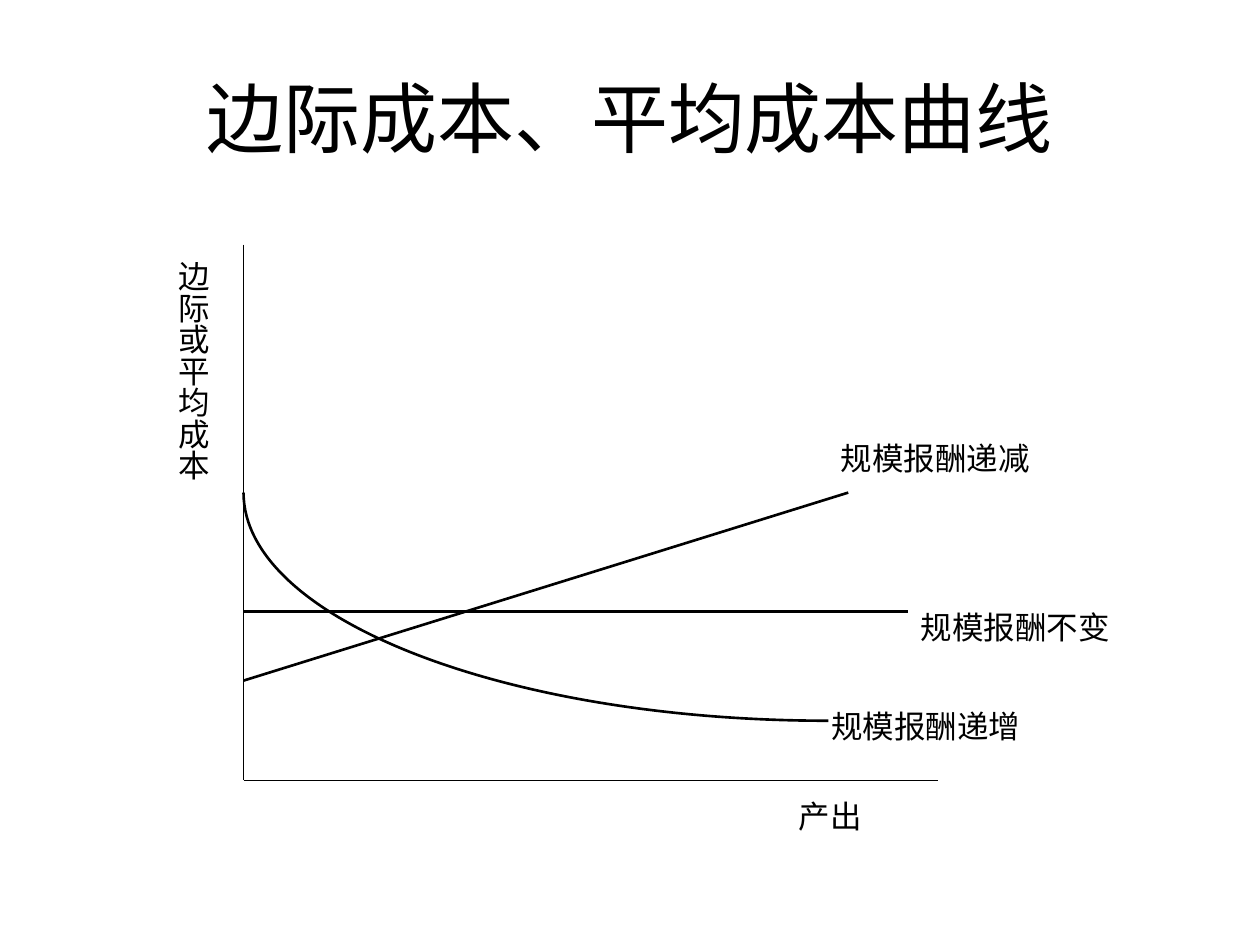
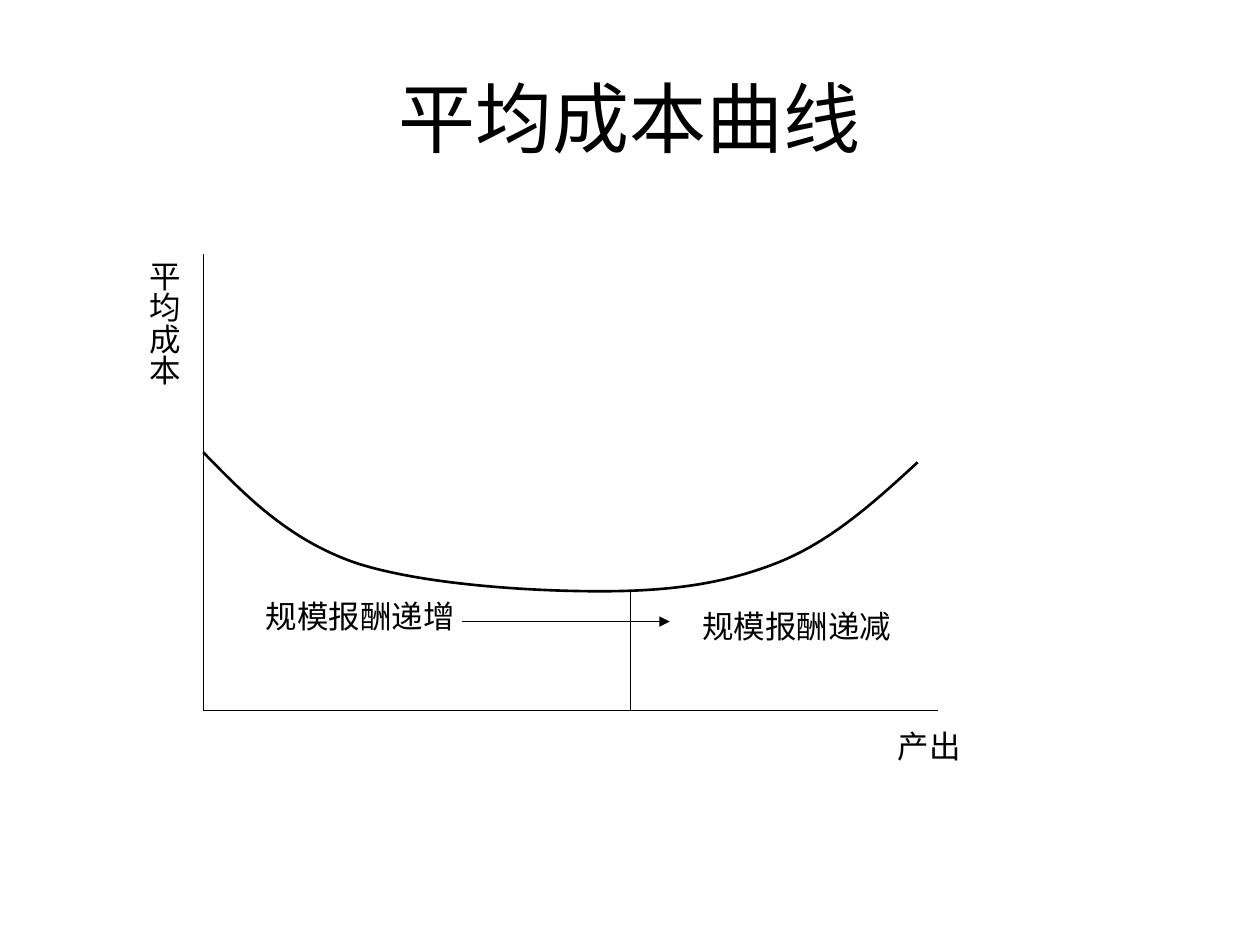
from collections import namedtuple

from lxml.etree import SubElement
from pptx import Presentation
from pptx.dml.color import RGBColor
from pptx.enum.shapes import MSO_CONNECTOR as Connector
from pptx.enum.text import MSO_ANCHOR as Anchor, MSO_AUTO_SIZE as AutoSize, PP_ALIGN as Align
from pptx.oxml.ns import qn
from pptx.util import Cm, Pt

Box = namedtuple("Box", "left top width height")

BLACK = RGBColor(0, 0, 0)
FONT = "Arial"
TITLE_BOX = Box(1.27, 0.76, 22.86, 3.18)
LABEL_HEIGHT = 1.02
VERTICAL_LABEL_WIDTH = 1.27
CHARACTER = Pt(18).cm
THIN, THICK = 0.75, 1.5
TITLE_FRAME = {"word_wrap": True, "vertical_anchor": Anchor.MIDDLE}
LABEL_FRAME = {"word_wrap": False, "auto_size": AutoSize.SHAPE_TO_FIT_TEXT}


def apply(target, values):
    for name, value in values.items():
        setattr(target, name, value)


def add_text(slide, box, text, size, frame_values, align=Align.LEFT):
    frame = slide.shapes.add_textbox(*map(Cm, box)).text_frame
    apply(frame, frame_values)
    paragraph = frame.paragraphs[0]
    paragraph.alignment = align
    run = paragraph.add_run()
    run.text = text
    apply(run.font, {"name": FONT, "size": Pt(size)})
    run.font.color.rgb = BLACK
    return frame


def add_title(slide, text):
    add_text(slide, TITLE_BOX, text, 44, TITLE_FRAME, Align.CENTER)


def add_label(slide, plot, x, y, text):
    width = 0.53 + CHARACTER * len(text)
    add_text(slide, (plot.left + x, plot.top + y, width, LABEL_HEIGHT), text, 18, LABEL_FRAME)


def add_vertical_label(slide, plot, x, y, text):
    height = 0.26 + CHARACTER * len(text)
    box = (plot.left + x, plot.top + y, VERTICAL_LABEL_WIDTH, height)
    frame = add_text(slide, box, text, 18, LABEL_FRAME)
    frame._txBody.bodyPr.set("vert", "eaVert")


def style_line(line, weight):
    line.color.rgb = BLACK
    line.width = Pt(weight)


def add_line(slide, plot, start, end, weight=THIN, arrow=False):
    ends = [Cm(edge + offset) for point in (start, end)
            for edge, offset in zip((plot.left, plot.top), point)]
    connector = slide.shapes.add_connector(Connector.STRAIGHT, *ends)
    style_line(connector.line, weight)
    properties = connector._element.spPr
    if arrow:
        SubElement(properties.find(qn("a:ln")), qn("a:tailEnd"), type="triangle")
    SubElement(properties, qn("a:effectLst"))


def add_curve(slide, plot, controls):
    placed = [(Cm(plot.left + x), Cm(plot.top + y)) for x, y in controls]
    builder = slide.shapes.build_freeform(*placed[0])
    builder.add_line_segments(placed[1:], close=False)
    curve = builder.convert_to_shape()
    segments = list(curve._element.iter(qn("a:lnTo")))
    outline = segments[0].getparent()
    for first in range(0, len(segments), 3):
        bezier = SubElement(outline, qn("a:cubicBezTo"))
        for segment in segments[first:first + 3]:
            bezier.append(segment[0])
            outline.remove(segment)
    curve.shadow.inherit = False
    curve.fill.background()
    style_line(curve.line, THICK)


def add_axes(slide, plot):
    origin = (0, plot.height)
    add_line(slide, plot, (0, 0), origin)
    add_line(slide, plot, origin, (plot.width, plot.height))


def draw_returns_to_scale(slide, plot):
    add_axes(slide, plot)
    add_vertical_label(slide, plot, -1.77, 0.08, "边际或平均成本")
    for x, y, text in (
        (11.6, 9.19, "规模报酬递增"),
        (13.4, 7.2, "规模报酬不变"),
        (11.79, 3.79, "规模报酬递减"),
        (10.94, 11.02, "产出"),
    ):
        add_label(slide, plot, x, y, text)
    add_line(slide, plot, (0, 7.4), (13.39, 7.4), THICK)
    add_curve(slide, plot, [(0, 5), (0, 7.54), (5.28, 9.6), (11.79, 9.6)])
    add_line(slide, plot, (0, 8.79), (12.19, 5), THICK)


def draw_average_cost(slide, plot):
    lowest_cost = 6.79
    add_axes(slide, plot)
    add_vertical_label(slide, plot, -1.55, -0.13, "平均成本")
    add_curve(slide, plot, [
        (0, 3.99), (0.84, 4.85), (1.68, 5.72), (3.02, 6.2),
        (4.34, 6.65), (6.58, lowest_cost), (8, lowest_cost),
        (9.45, lowest_cost), (10.54, 6.63), (11.61, 6.2),
        (12.67, 5.77), (13.54, 4.98), (14.4, 4.19),
    ])
    for x, y, text in (
        (13.75, 9.41, "产出"),
        (1.01, lowest_cost, "规模报酬递增"),
        (9.81, 6.99, "规模报酬递减"),
    ):
        add_label(slide, plot, x, y, text)
    add_line(slide, plot, (8.61, lowest_cost), (8.61, plot.height))
    add_line(slide, plot, (5.21, 7.4), (9.4, 7.4), arrow=True)


def main():
    deck = Presentation()
    apply(deck, {"slide_width": Cm(25.4), "slide_height": Cm(19.05)})
    for title, draw, plot in (
        ("边际成本、平均成本曲线", draw_returns_to_scale, Box(4.91, 4.93, 14, 10.8)),
        ("平均成本曲线", draw_average_cost, Box(4.1, 5.13, 14.8, 9.2)),
    ):
        slide = deck.slides.add_slide(deck.slide_layouts[6])
        add_title(slide, title)
        draw(slide, plot)
    deck.save("out.pptx")


if __name__ == "__main__":
    main()
